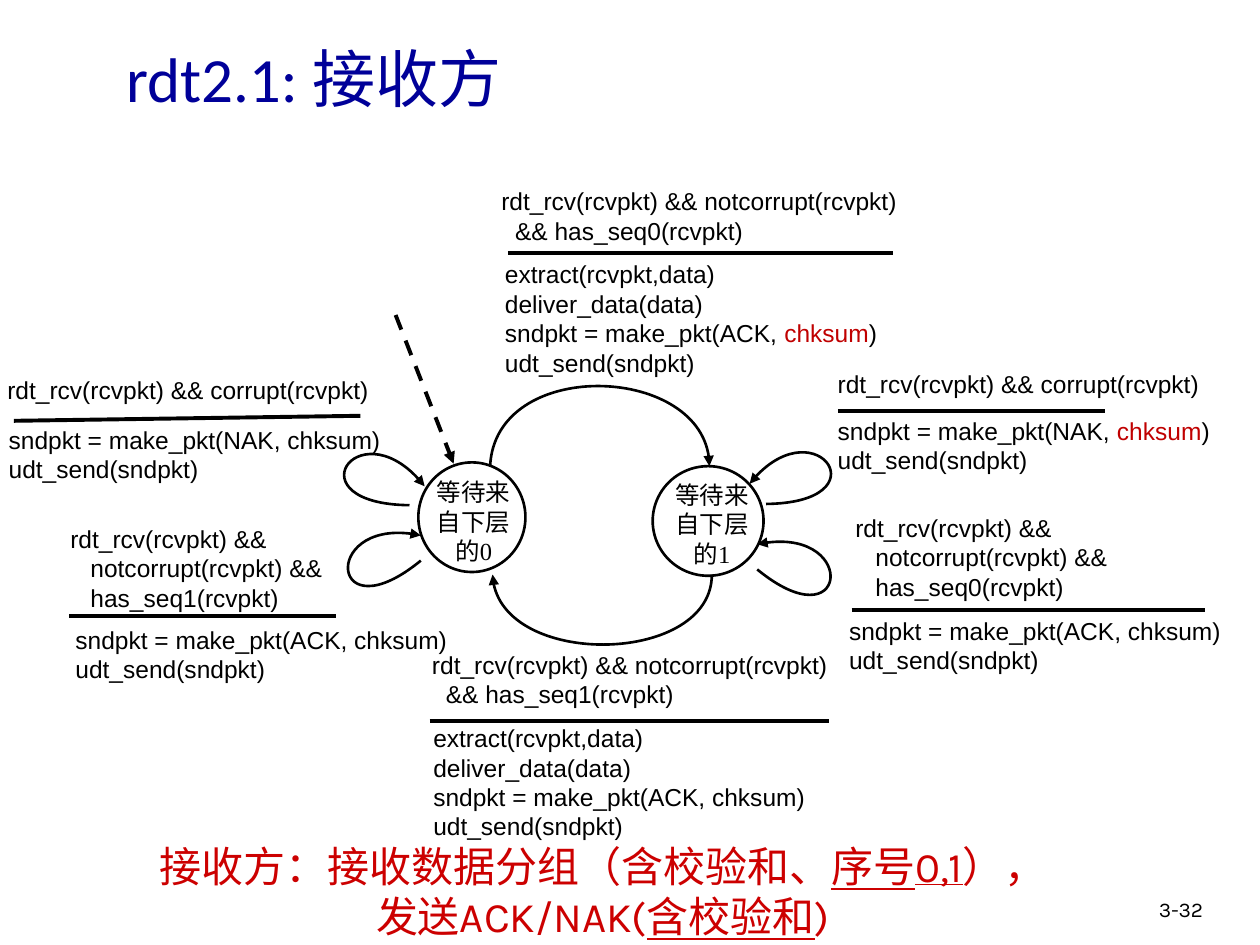
from lxml.etree import SubElement
from pptx import Presentation
from pptx.dml.color import RGBColor
from pptx.enum.dml import MSO_LINE
from pptx.enum.shapes import MSO_CONNECTOR, MSO_SHAPE
from pptx.enum.text import MSO_ANCHOR, PP_ALIGN
from pptx.oxml.ns import qn
from pptx.util import Inches, Pt

HUE = {"ink": "000000", "paper": "FFFFFF", "title": "000099",
       "mark": "C00000", "note": "CC0000"}
CJK = "Noto Sans CJK SC"

CORRUPT = ["rdt_rcv(rcvpkt) && corrupt(rcvpkt)"]
ACK = ["sndpkt = make_pkt(ACK, chksum)", "udt_send(sndpkt)"]
NAK = ["sndpkt = make_pkt(NAK, chksum)", "udt_send(sndpkt)"]
DELIVER = ["extract(rcvpkt,data)", "deliver_data(data)"] + ACK


def fresh(bit):
    return ["rdt_rcv(rcvpkt) && notcorrupt(rcvpkt)", f"&& has_seq{bit}(rcvpkt)"]


def repeat(bit):
    return ["rdt_rcv(rcvpkt) &&", "notcorrupt(rcvpkt) &&", f"has_seq{bit}(rcvpkt)"]


# event lines, box, indent of later lines; rule ends; action lines, box, marked
MOVES = [
    (fresh(0), (3.88, 1.43, 4.35, 0.62), 0.11, (4.03, 2.01, 7.09, 2.01),
     DELIVER, (3.91, 2.01, 3.8, 0.77), True),
    (fresh(1), (3.33, 5.11, 3.92, 0.62), 0.11, (3.41, 5.72, 6.58, 5.72),
     DELIVER, (3.34, 5.69, 4.21, 1.09), False),
    (CORRUPT, (6.55, 2.88, 3.14, 0.67), 0, (6.65, 3.26, 8.77, 3.26),
     NAK, (6.55, 3.25, 3.31, 0.45), True),
    (repeat(0), (6.69, 4.02, 2.87, 0.67), 0.16, (6.76, 4.84, 9.56, 4.84),
     ACK, (6.64, 4.84, 3.22, 0.45), False),
    (CORRUPT, (-0.04, 2.93, 3.14, 0.67), 0, (0.11, 3.34, 2.86, 3.3),
     NAK, (-0.03, 3.32, 3.31, 0.45), False),
    (repeat(1), (0.46, 4.11, 2.87, 0.67), 0.16, (0.55, 4.89, 2.67, 4.89),
     ACK, (0.5, 4.91, 3.22, 0.45), False),
]
# circle box, label box, label
STATES = [
    ((3.32, 3.67, 0.85, 0.87), (3.32, 3.74, 0.88, 0.67), "等待来自下层的0"),
    ((5.18, 3.7, 0.88, 0.87), (5.21, 3.76, 0.88, 0.67), "等待来自下层的1"),
]
# start, two control points, end at the arrowhead
CURVES = [
    [(3.89, 3.7), (3.93, 2.84), (5.63, 2.89), (5.63, 3.7)],
    [(5.65, 4.56), (5.65, 5.27), (3.94, 5.31), (3.91, 4.56)],
    [(6.08, 4), (7.01, 3.99), (6.46, 3.2), (5.95, 3.84)],
    [(6.01, 4.52), (6.73, 5.11), (6.82, 4.15), (6.01, 4.32)],
    [(3.34, 4.45), (2.62, 5.04), (2.54, 4.08), (3.34, 4.25)],
    [(3.25, 4.01), (2.32, 4), (2.86, 3.21), (3.37, 3.86)],
]
START = (3.14, 2.5, 3.6, 3.68)
NOTE = [
    [("接收方：接收数据分组（含校验和、", False), ("序号0,1", True), ("），", False)],
    [("发送ACK/NAK(", False), ("含校验和", True), (")", False)],
]


def rgb(name):
    return RGBColor.from_string(HUE[name])


def add_run(para, text, size, face, hue="ink", under=False):
    run = para.add_run()
    run.text = text
    font = run.font
    font.size, font.name, font.underline = Pt(size), face, under
    font.color.rgb = rgb(hue)
    SubElement(font._element, qn("a:ea"), typeface=CJK)


def add_box(slide, box):
    frame = slide.shapes.add_textbox(*map(Inches, box)).text_frame
    frame.word_wrap = True
    return frame


def add_paras(frame, count):
    return [frame.paragraphs[0]] + [frame.add_paragraph() for _ in range(count - 1)]


def add_code(slide, box, lines, indent=0, marked=False):
    """Write code lines, indenting all but the first; marked colours chksum."""
    frame = add_box(slide, box)
    for i, (para, line) in enumerate(zip(add_paras(frame, len(lines)), lines)):
        if i and indent:
            para._p.get_or_add_pPr().set("marL", str(Inches(indent)))
        head, word, tail = line.partition("chksum")
        if marked and word:
            add_run(para, head, 14, "Arial")
            add_run(para, word, 14, "Arial", "mark")
            add_run(para, tail, 14, "Arial")
        else:
            add_run(para, line, 14, "Arial")


def ink_line(shape, width, arrow=False):
    shape.line.color.rgb = rgb("ink")
    shape.line.width = Pt(width)
    if arrow:
        SubElement(shape.line._get_or_add_ln(), qn("a:tailEnd"), type="triangle")


def add_line(slide, ends, arrow=False):
    line = slide.shapes.add_connector(MSO_CONNECTOR.STRAIGHT, *map(Inches, ends))
    if arrow:
        line.line.dash_style = MSO_LINE.DASH
    ink_line(line, 2.25, arrow)
    SubElement(line._element.spPr, qn("a:effectLst"))


def add_curve(slide, points):
    """Build a freeform on the control points, then turn it into one Bezier."""
    first, *rest = [tuple(map(Inches, pt)) for pt in points]
    pen = slide.shapes.build_freeform(*first)
    pen.add_line_segments(rest, close=False)
    shape = pen.convert_to_shape()
    track = next(shape._element.iter(qn("a:moveTo"))).getparent()
    bend = SubElement(track, qn("a:cubicBezTo"))
    for step in track.findall(qn("a:lnTo")):
        bend.append(step[0])
        track.remove(step)
    shape.fill.background()
    ink_line(shape, 1.5, True)
    shape.shadow.inherit = False


def add_state(slide, box, label_box, label):
    disc = slide.shapes.add_shape(MSO_SHAPE.OVAL, *map(Inches, box))
    disc.fill.solid()
    disc.fill.fore_color.rgb = rgb("paper")
    ink_line(disc, 1.5)
    disc.shadow.inherit = False
    para = add_box(slide, label_box).paragraphs[0]
    para.alignment = PP_ALIGN.CENTER
    add_run(para, label, 14, "Times New Roman")


def add_title(slide):
    title = slide.shapes.title
    title.left, title.top, title.width, title.height = map(Inches, (0.9, 0.1, 9.1, 1.03))
    title.text_frame.vertical_anchor = MSO_ANCHOR.MIDDLE
    para = title.text_frame.paragraphs[0]
    para.alignment = PP_ALIGN.LEFT
    add_run(para, "rdt2.1: ", 36, "Calibri", "title")
    add_run(para, "接收方", 36, CJK, "title")


def main():
    deck = Presentation()
    deck.slide_width, deck.slide_height = Inches(10), Inches(7.5)
    slide = deck.slides.add_slide(deck.slide_layouts[5])
    add_title(slide)
    for state in STATES:
        add_state(slide, *state)
    for points in CURVES:
        add_curve(slide, points)
    add_line(slide, START, True)
    for event, box, indent, rule, action, act_box, marked in MOVES:
        add_code(slide, box, event, indent)
        add_line(slide, rule)
        add_code(slide, act_box, action, marked=marked)
    frame = add_box(slide, (0.47, 6.62, 8.63, 0.91))
    for para, parts in zip(add_paras(frame, len(NOTE)), NOTE):
        para.alignment = PP_ALIGN.CENTER
        for text, under in parts:
            add_run(para, text, 24, "Karla", "note", under)
    page = add_box(slide, (9.1, 7.07, 0.74, 0.3)).paragraphs[0]
    add_run(page, "3-32", 12, "Karla")
    deck.save("out.pptx")


if __name__ == "__main__":
    main()
